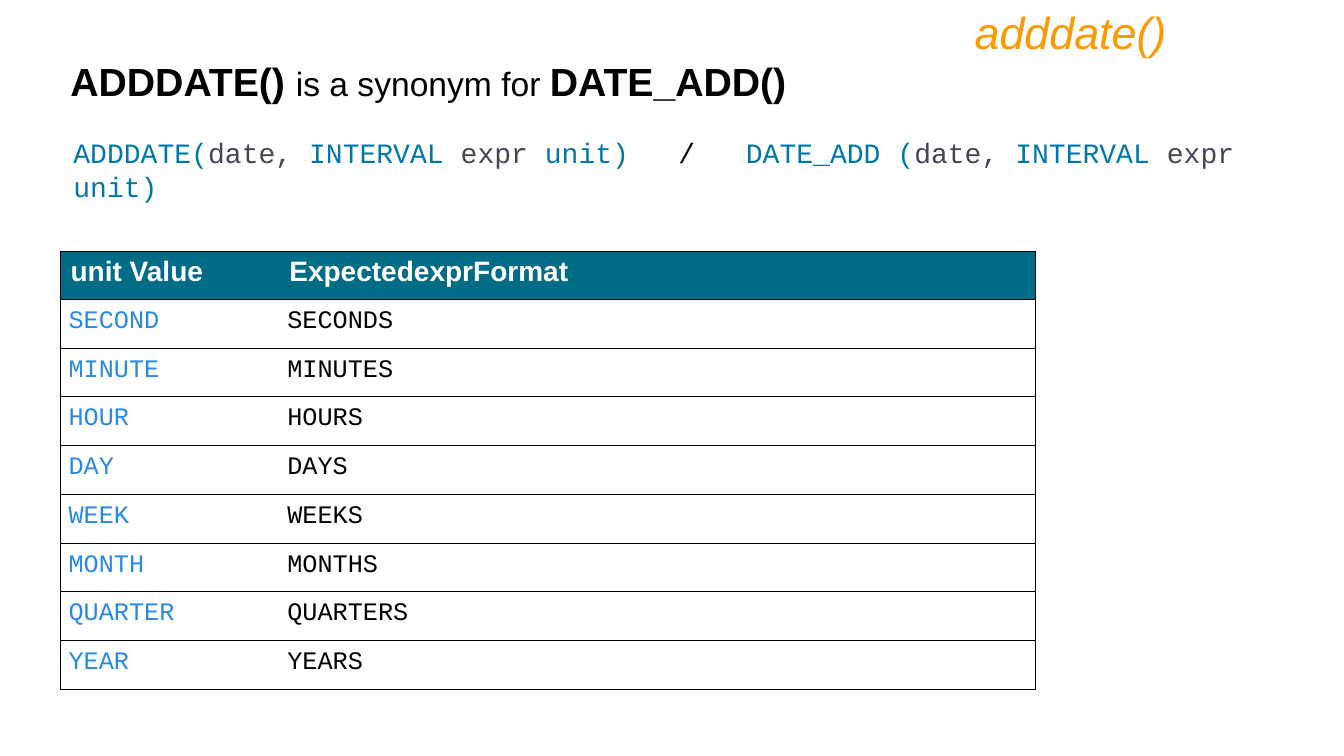
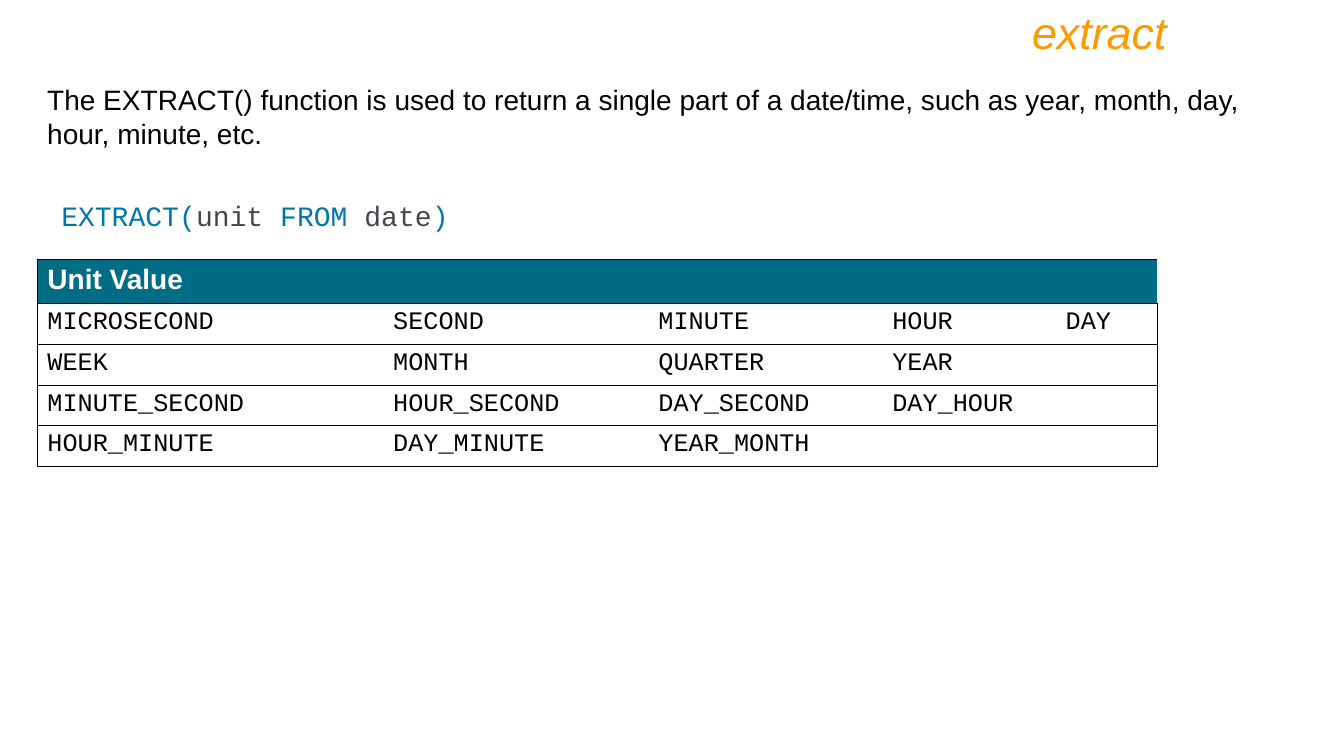
from dataclasses import dataclass

from lxml.etree import SubElement
from pptx import Presentation
from pptx.dml.color import RGBColor
from pptx.enum.text import MSO_AUTO_SIZE as Fit, PP_ALIGN as Align
from pptx.oxml.ns import qn
from pptx.util import Inches, Pt

# Colours
ORANGE = RGBColor(0xFF, 0x99, 0x00)
BLACK = RGBColor(0x00, 0x00, 0x00)
WHITE = RGBColor(0xFF, 0xFF, 0xFF)
TEAL = RGBColor(0x00, 0x6C, 0x86)
BLUE = RGBColor(0x00, 0x77, 0xAA)
SKY = RGBColor(0x29, 0x8A, 0xE5)
GREY = RGBColor(0x46, 0x46, 0x53)

# Text formats
TITLE = dict(name="Arial", size=Pt(32), italic=True)
STRONG = dict(name="Arial", size=Pt(28), bold=True)
LEAD = dict(name="Arial", size=Pt(24))
BODY = dict(name="Arial", size=Pt(20))
HEAD = dict(name="Arial", size=Pt(20), bold=True)
CODE = dict(name="Courier New", size=Pt(20))
CELL = dict(name="Courier New", size=Pt(18))


@dataclass
class Span:
    text: str
    form: dict
    color: RGBColor = BLACK


@dataclass
class Box:
    left: float
    top: float
    width: float
    height: float


@dataclass
class Grid:
    box: Box
    cols: list[float]
    head: list[str]
    rows: list[list[str]]
    top: float  # height of the header row
    tints: list[RGBColor]
    inset: tuple[float, float] = (0.1, 0.05)


def write(para, spans: list[Span]) -> None:
    for span in spans:
        run = para.add_run()
        run.text = span.text
        for key, value in span.form.items():
            setattr(run.font, key, value)
        run.font.color.rgb = span.color


def add_text(slide, box: Box, spans: list[Span], align=Align.LEFT, tabs=()) -> None:
    shape = slide.shapes.add_textbox(
        *map(Inches, (box.left, box.top, box.width, box.height)))
    frame = shape.text_frame
    frame.word_wrap = True
    frame.auto_size = Fit.SHAPE_TO_FIT_TEXT
    para = frame.paragraphs[0]
    para.alignment = align
    if tabs:
        stops = SubElement(para._p.get_or_add_pPr(), qn("a:tabLst"))
        for tab in tabs:
            SubElement(stops, qn("a:tab"), pos=str(Inches(tab)), algn="l")
    write(para, spans)


def add_lines(cell, first: bool, last: bool) -> None:
    """Rule every row, and close the table at its two sides."""
    props = cell._tc.get_or_add_tcPr()
    sides = {"lnL": first, "lnR": last, "lnT": True, "lnB": True}
    for spot, (side, shown) in enumerate(sides.items()):
        line = SubElement(props, qn(f"a:{side}"), w=str(Pt(0.75)))
        if shown:
            fill = SubElement(line, qn("a:solidFill"))
            SubElement(fill, qn("a:srgbClr"), val=str(BLACK))
        else:
            SubElement(line, qn("a:noFill"))
        props.insert(spot, line)


def add_grid(slide, grid: Grid) -> None:
    box, wide = grid.box, len(grid.cols)
    table = slide.shapes.add_table(
        len(grid.rows) + 1, wide,
        *map(Inches, (box.left, box.top, box.width, box.height))).table
    table.horz_banding = False
    for col, width in zip(table.columns, grid.cols):
        col.width = Inches(width)
    step = (box.height - grid.top) / len(grid.rows)
    for r, texts in enumerate([grid.head, *grid.rows]):
        table.rows[r].height = Inches(step if r else grid.top)
        for c in range(wide):
            cell = table.cell(r, c)
            if r:
                cell.fill.background()
                side, edge = map(Inches, grid.inset)
                cell.margin_left = cell.margin_right = side
                cell.margin_top = cell.margin_bottom = edge
            else:
                cell.fill.solid()
                cell.fill.fore_color.rgb = TEAL
            add_lines(cell, c == 0, c == wide - 1)
            if c < len(texts):
                form, tint = (CELL, grid.tints[c]) if r else (HEAD, WHITE)
                write(cell.text_frame.paragraphs[0], [Span(texts[c], form, tint)])
    # A lone heading covers the whole width
    if len(grid.head) == 1:
        table.cell(0, 0).merge(table.cell(0, wide - 1))


def add_page(deck, title: str):
    slide = deck.slides.add_slide(deck.slide_layouts[6])
    add_text(slide, Box(1.67, 0, 10, 0.64), [Span(title, TITLE, ORANGE)], Align.RIGHT)
    return slide


def call(name: str) -> list[Span]:
    """The coloured syntax of one date function."""
    return [Span(name + "(", CODE, BLUE), Span("date,", CODE, GREY),
            Span(" INTERVAL ", CODE, BLUE), Span("expr", CODE, GREY),
            Span(" unit)", CODE, BLUE)]


def add_date(deck) -> None:
    slide = add_page(deck, "adddate()")
    add_text(slide, Box(0.63, 1.3, 11.86, 0.44),
             [*call("ADDDATE"), Span("\t/\t", CODE), *call("DATE_ADD ")],
             tabs=(6.0, 6.67))
    add_text(slide, Box(0.6, 0.52, 9.54, 0.57),
             [Span("ADDDATE() ", STRONG), Span("is a synonym for ", LEAD),
              Span("DATE_ADD()", STRONG)])
    units = ["SECOND", "MINUTE", "HOUR", "DAY", "WEEK", "MONTH", "QUARTER", "YEAR"]
    add_grid(slide, Grid(
        Box(0.6, 2.49, 9.67, 4.35), [2.17, 7.5],
        ["unit Value", "ExpectedexprFormat"],
        [[unit, unit + "S"] for unit in units],
        0.48, [SKY, BLACK], (0.08, 0.08)))


def add_extract(deck) -> None:
    slide = add_page(deck, "extract")
    add_text(slide, Box(0.51, 1.92, 4.33, 0.44),
             [Span("EXTRACT(", CODE, BLUE), Span("unit", CODE, GREY),
              Span(" FROM ", CODE, BLUE), Span("date", CODE, GREY),
              Span(")", CODE, BLUE)])
    add_text(slide, Box(0.37, 0.77, 12.6, 0.77),
             [Span("The EXTRACT() function is used to return a single part of a "
                   "date/time, such as year, month, day, hour, minute, etc.", BODY)])
    add_grid(slide, Grid(
        Box(0.37, 2.57, 11.1, 2.06), [3.43, 2.63, 2.32, 1.72, 1.01],
        ["Unit Value"],
        [["MICROSECOND", "SECOND", "MINUTE", "HOUR", "DAY"],
         ["WEEK", "MONTH", "QUARTER", "YEAR"],
         ["MINUTE_SECOND", "HOUR_SECOND", "DAY_SECOND", "DAY_HOUR"],
         ["HOUR_MINUTE", "DAY_MINUTE", "YEAR_MONTH"]],
        0.44, [BLACK] * 5))


def main() -> None:
    deck = Presentation()
    deck.slide_width, deck.slide_height = Inches(13.33), Inches(7.5)
    add_date(deck)
    add_extract(deck)
    deck.save("out.pptx")


if __name__ == "__main__":
    main()
